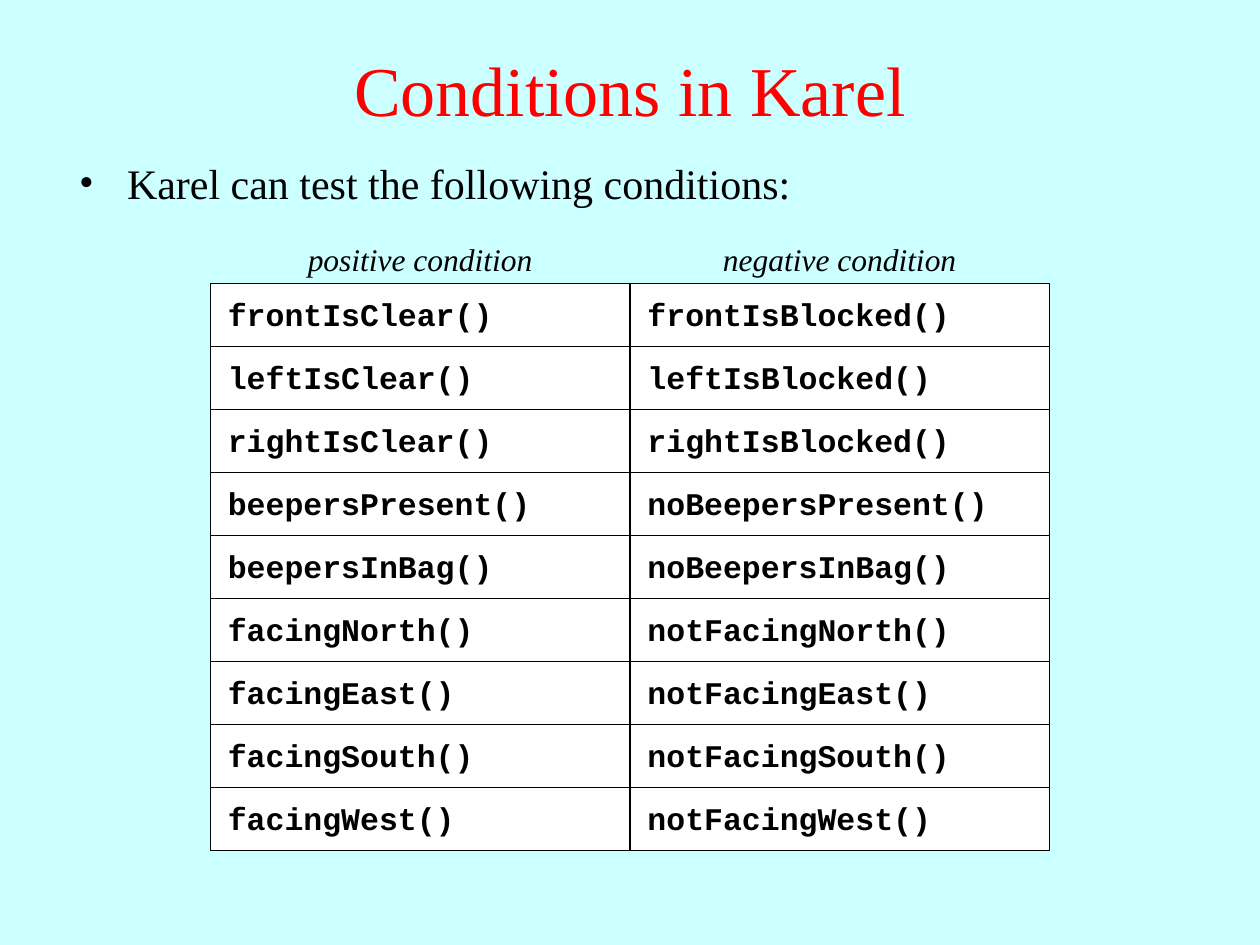
from lxml import etree
from pptx import Presentation
from pptx.dml.color import RGBColor
from pptx.enum import shapes, text
from pptx.oxml import ns
from pptx.util import Inches, Pt

TITLE = "Conditions in Karel"
INTRO = "Karel can test the following conditions:"
HEADINGS = ["positive condition", "negative condition"]
CONDITIONS = [
    ("frontIsClear()", "frontIsBlocked()"),
    ("leftIsClear()", "leftIsBlocked()"),
    ("rightIsClear()", "rightIsBlocked()"),
    ("beepersPresent()", "noBeepersPresent()"),
    ("beepersInBag()", "noBeepersInBag()"),
    ("facingNorth()", "notFacingNorth()"),
    ("facingEast()", "notFacingEast()"),
    ("facingSouth()", "notFacingSouth()"),
    ("facingWest()", "notFacingWest()"),
]

SKY = RGBColor(0xCC, 0xFF, 0xFF)
RED = RGBColor(0xFF, 0, 0)
BLACK = RGBColor(0, 0, 0)
WHITE = RGBColor(0xFF, 0xFF, 0xFF)
SERIF, MONO = "Times New Roman", "Courier New"
LEFT, TOP, COL_W, ROW_H, PAD = 1.67, 2.25, 3.33, 0.5, 0.04


def write(tf, words, size, font, color=BLACK, align=None, bold=False, italic=False):
    tf.text = words
    p = tf.paragraphs[0]
    p.alignment = align
    f = p.runs[0].font
    f.size, f.name, f.bold, f.italic = Pt(size), font, bold, italic
    f.color.rgb = color
    return p


def add_box(parent, x, y, w, h):
    tf = parent.shapes.add_textbox(Inches(x), Inches(y), Inches(w), Inches(h)).text_frame
    tf.word_wrap = True
    return tf


def add_bullet(p, indent):
    pPr = p._p.get_or_add_pPr()
    pPr.set("marL", str(Inches(indent)))
    pPr.set("indent", str(-Inches(indent)))
    clr = etree.SubElement(pPr, ns.qn("a:buClr"))
    etree.SubElement(clr, ns.qn("a:srgbClr"), val=str(BLACK))
    etree.SubElement(pPr, ns.qn("a:buFont"), typeface=SERIF)
    etree.SubElement(pPr, ns.qn("a:buChar"), char="•")


def add_cell(s, x, y, condition):
    group = s.shapes.add_group_shape()
    sp = group.shapes.add_shape(shapes.MSO_SHAPE.RECTANGLE, Inches(x), Inches(y),
                                Inches(COL_W), Inches(ROW_H))
    sp.shadow.inherit = False
    sp.fill.solid()
    sp.fill.fore_color.rgb = WHITE
    sp.line.color.rgb = BLACK
    sp.line.width = Pt(0.75)
    tf = add_box(group, x + PAD, y + PAD, COL_W - PAD, 0.4)
    write(tf, condition, 18, MONO, bold=True)


prs = Presentation()
prs.slide_width, prs.slide_height = Inches(10), Inches(7.5)
s = prs.slides.add_slide(prs.slide_layouts[5])
s.background.fill.solid()
s.background.fill.fore_color.rgb = SKY

title = s.shapes.title
title.left, title.top, title.width, title.height = map(Inches, (0, 0.08, 10, 1.25))
title.text_frame.vertical_anchor = text.MSO_ANCHOR.MIDDLE
write(title.text_frame, TITLE, 40, SERIF, RED, text.PP_ALIGN.CENTER)

p = write(add_box(s, 0.53, 1.26, 8.89, 0.57), INTRO, 24, SERIF,
          align=text.PP_ALIGN.JUSTIFY)
add_bullet(p, 0.38)
p.line_spacing = 0.85
p.space_after = Pt(15)

for r, pair in enumerate(CONDITIONS):
    for c, condition in enumerate(pair):
        add_cell(s, LEFT + c * COL_W, TOP + r * ROW_H, condition)

for c, heading in enumerate(HEADINGS):
    write(add_box(s, LEFT + c * COL_W, 1.86, COL_W, 0.4), heading, 18, SERIF,
          align=text.PP_ALIGN.CENTER, italic=True)

prs.save("out.pptx")
